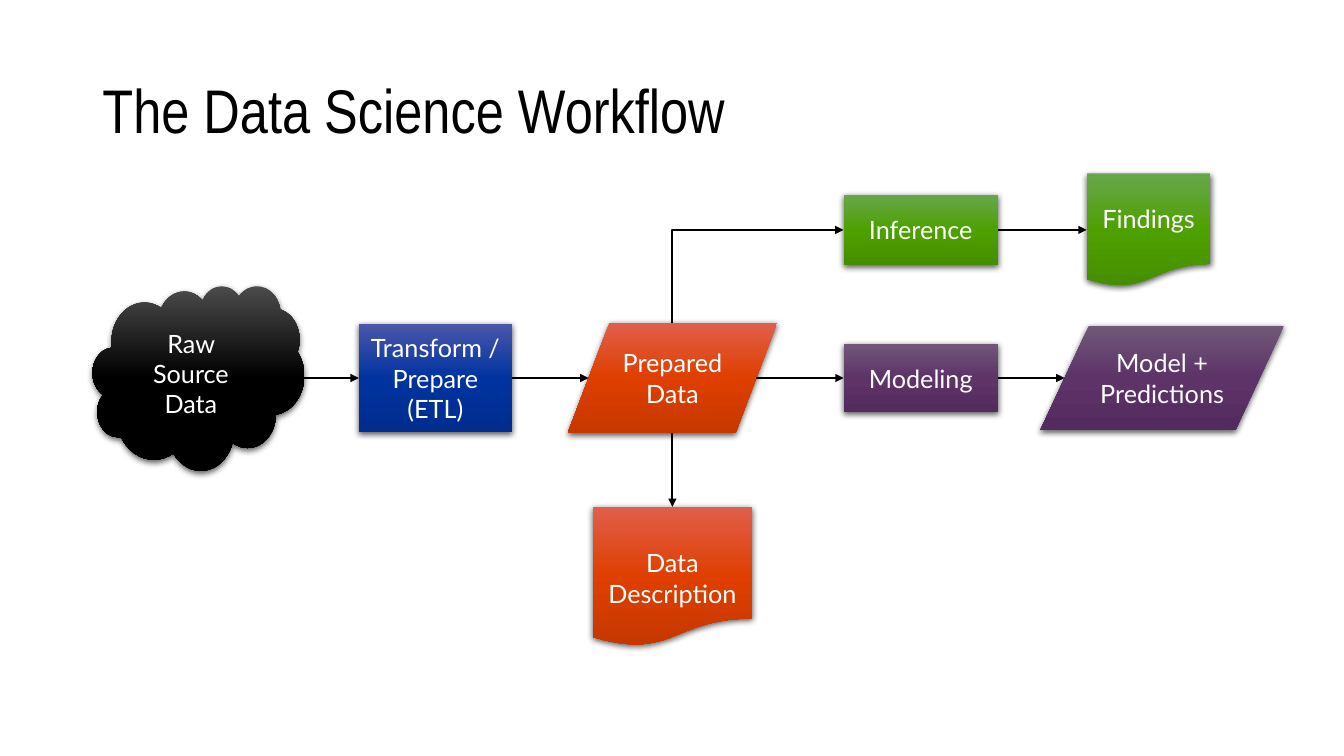
"""Build the data science workflow slide."""
from lxml import etree
from pptx import Presentation
from pptx.dml.color import RGBColor
from pptx.enum.shapes import MSO_CONNECTOR, MSO_SHAPE
from pptx.enum.text import MSO_ANCHOR, MSO_AUTO_SIZE, PP_ALIGN
from pptx.oxml import parse_xml
from pptx.oxml.ns import nsdecls, qn
from pptx.util import Pt

PROCESS = MSO_SHAPE.FLOWCHART_PROCESS
DATA = MSO_SHAPE.FLOWCHART_DATA
DOCUMENT = MSO_SHAPE.FLOWCHART_DOCUMENT
CLOUD = MSO_SHAPE.CLOUD
STRAIGHT, ELBOW = MSO_CONNECTOR.STRAIGHT, MSO_CONNECTOR.ELBOW
TOP, LEFT, BOTTOM, RIGHT = range(4)

TITLE = "The Data Science Workflow"
BLACK = ("4B4B4B", "000000", "000000")
BLUE = ("4B57AB", "0033A0", "002D8E")
ORANGE = ("E05F4B", "DF3F00", "C63800")
GREEN = ("67A74B", "4EA000", "458E00")
PURPLE = ("715879", "5D3368", "542B5F")

MAIN_ROW, INFERENCE_ROW, DESCRIPTION_ROW = 270, 164.2, 411.8
LINE_HEIGHT = 21.6

# name: text, outline, gradient, left, middle, width, height
STEPS = {
    "etl": ("Transform / Prepare (ETL)", PROCESS, BLUE, 256.3, MAIN_ROW, 109.4, 77.8),
    "raw": ("Raw Source Data", CLOUD, BLACK, 66.2, MAIN_ROW, 151.2, 131.8),
    "prepared": ("Prepared Data", DATA, ORANGE, 405.4, MAIN_ROW, 149.8, 79.2),
    "inference": ("Inference", PROCESS, GREEN, 602.6, INFERENCE_ROW, 110.2, 50.4),
    "findings": ("Findings", DOCUMENT, GREEN, 776.2, INFERENCE_ROW, 88.6, 80.6),
    "modeling": ("Modeling", PROCESS, PURPLE, 602.6, MAIN_ROW, 110.2, 49),
    "predictions": ("Model + Predictions", DATA, PURPLE, 743, MAIN_ROW, 174.2, 74.9),
    "description": ("Data Description", DOCUMENT, ORANGE, 423.4, DESCRIPTION_ROW, 113.8, 99.4),
}
FLOWS = [
    ("raw", RIGHT, "etl", LEFT),
    ("etl", RIGHT, "prepared", LEFT),
    ("prepared", BOTTOM, "description", TOP),
    ("prepared", RIGHT, "modeling", LEFT),
    ("inference", RIGHT, "findings", LEFT),
    ("modeling", RIGHT, "predictions", LEFT),
]


def color(value):
    return RGBColor.from_string(value)


def write(frame, text, *, font, size, ink, align, spacing=None):
    frame.word_wrap = True
    frame.auto_size = MSO_AUTO_SIZE.NONE
    frame.vertical_anchor = MSO_ANCHOR.MIDDLE
    paragraph = frame.paragraphs[0]
    paragraph.alignment = align
    paragraph.line_spacing = spacing
    run = paragraph.add_run()
    run.text = text
    run.font.name, run.font.size = font, Pt(size)
    run.font.color.rgb = color(ink)


def add_step(shapes, text, outline, gradient, left, middle, width, height):
    step = shapes.add_shape(outline, Pt(left), Pt(middle - height / 2), Pt(width), Pt(height))
    step.line.fill.background()
    step.shadow.inherit = False
    properties = step._element.spPr
    stops = "".join(
        f'<a:gs pos="{i * 50000}"><a:srgbClr val="{shade}"/></a:gs>'
        for i, shade in enumerate(gradient))
    properties.find(qn("a:ln")).addprevious(parse_xml(
        f'<a:gradFill {nsdecls("a")} rotWithShape="1"><a:gsLst>{stops}</a:gsLst>'
        '<a:lin ang="5400000" scaled="0"/></a:gradFill>'))
    properties.find(qn("a:effectLst")).append(parse_xml(
        f'<a:outerShdw {nsdecls("a")} blurRad="{Pt(4.5)}" dist="{Pt(1.5)}" dir="5400000" '
        'algn="ctr" rotWithShape="0"><a:srgbClr val="000000"><a:alpha val="63000"/>'
        '</a:srgbClr></a:outerShdw>'))
    write(step.text_frame, text, font="Lato", size=18, ink="FFFFFF", align=PP_ALIGN.CENTER)
    return step


def side_point(name, side):
    _, outline, _, left, middle, width, height = STEPS[name]
    slant = width / 10 if outline == DATA else 0
    return {
        TOP: (left + width / 2, middle - height / 2),
        LEFT: (left + slant, middle),
        BOTTOM: (left + width / 2, middle + height / 2),
        RIGHT: (left + width - slant, middle),
    }[side]


def add_flow(shapes, kind, start, end, arrow="a:tailEnd"):
    flow = shapes.add_connector(kind, *(Pt(n) for n in (*start, *end)))
    flow.line.width = Pt(1.5)
    flow.line.color.rgb = color("000000")
    etree.SubElement(flow.line._get_or_add_ln(), qn(arrow), type="triangle")
    etree.SubElement(flow._element.spPr, qn("a:effectLst"))
    return flow


def main():
    deck = Presentation()
    deck.slide_width, deck.slide_height = Pt(960), Pt(540)
    slide = deck.slides.add_slide(deck.slide_layouts[5])
    title = slide.shapes.title
    title.left, title.top, title.width, title.height = Pt(66), Pt(28.8), Pt(828), Pt(104.4)
    write(title.text_frame, TITLE, font="Arial Narrow", size=44, ink="000000",
          align=PP_ALIGN.LEFT, spacing=0.9)

    steps = {name: add_step(slide.shapes, *step) for name, step in STEPS.items()}
    steps["description"].text_frame.margin_top = Pt(3.6 + LINE_HEIGHT)

    for source, source_side, target, target_side in FLOWS:
        flow = add_flow(slide.shapes, STRAIGHT, side_point(source, source_side),
                        side_point(target, target_side))
        if STEPS[source][1] == PROCESS:
            flow.begin_connect(steps[source], source_side)
        if STEPS[target][1] == PROCESS:
            flow.end_connect(steps[target], target_side)

    branch = add_flow(slide.shapes, ELBOW, side_point("inference", LEFT),
                      side_point("prepared", TOP), arrow="a:headEnd")
    branch._element.spPr.find(qn("a:prstGeom")).set("prst", "bentConnector2")
    deck.save("out.pptx")


if __name__ == "__main__":
    main()
